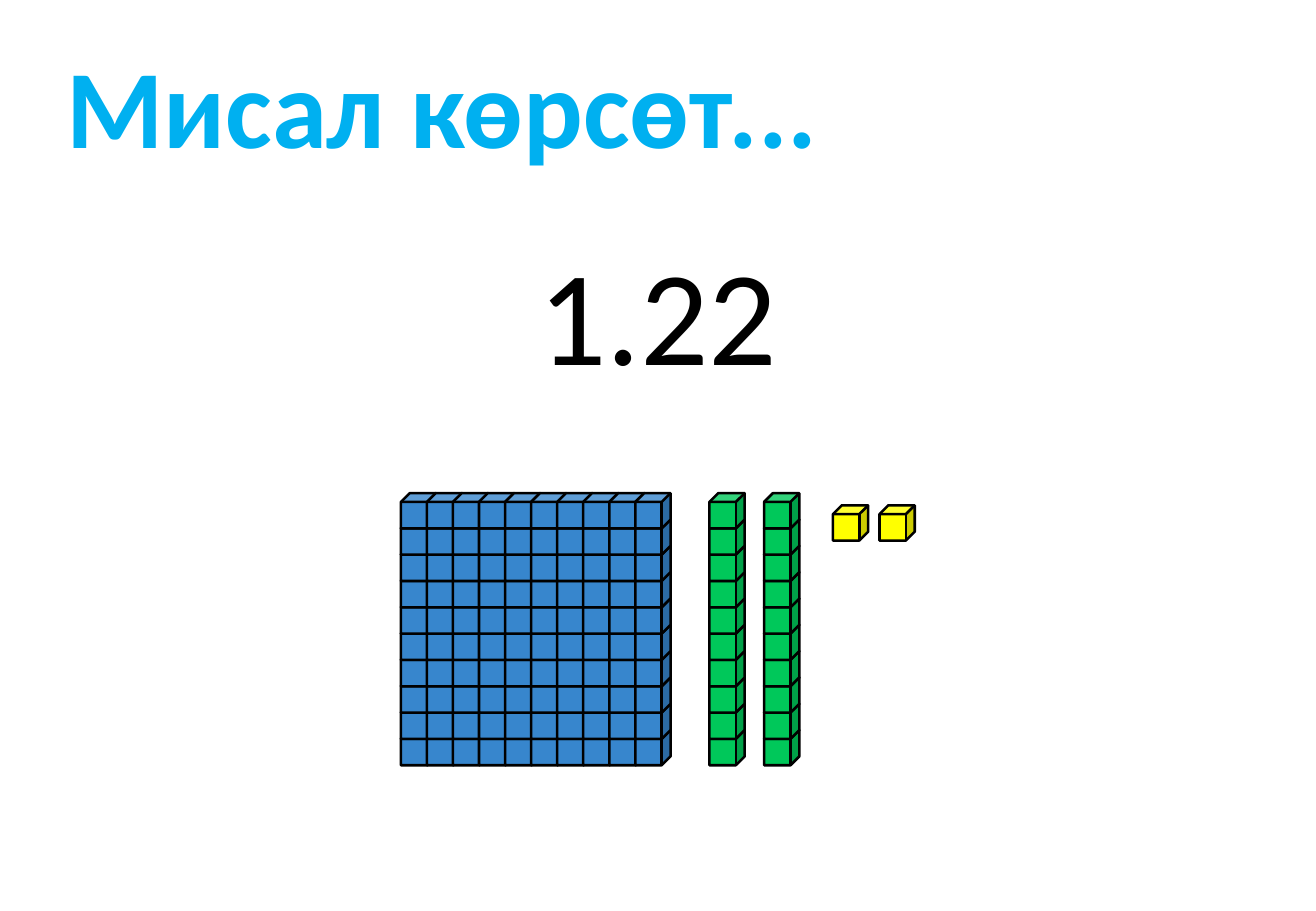
from pptx import Presentation
from pptx.dml.color import RGBColor
from pptx.enum.shapes import MSO_SHAPE
from pptx.enum.text import MSO_ANCHOR, MSO_AUTO_SIZE, PP_ALIGN
from pptx.util import Pt

CUBE = MSO_SHAPE.CUBE
TOP = MSO_ANCHOR.TOP
GROW = MSO_AUTO_SIZE.SHAPE_TO_FIT_TEXT
LEFT, CENTER = PP_ALIGN.LEFT, PP_ALIGN.CENTER

COLORS = {
    "title": "00B0F0",
    "black": "000000",
    "hundred": "3786CD",
    "ten": "00C85A",
    "one": "FFFF00",
}
FONT = "Calibri"
CUBE_SIZE = 20.9
PITCH_X, PITCH_Y = 15.44, 15.6
BLOCK_TOP = 292.3


def set_text(shape, text, size, color, align, bold=False):
    tf = shape.text_frame
    tf.text = text
    tf.vertical_anchor = TOP
    tf.auto_size = GROW
    p = tf.paragraphs[0]
    p.alignment = align
    p.font.name = FONT
    p.font.size = Pt(size)
    p.font.bold = bold
    p.font.color.rgb = RGBColor.from_string(COLORS[color])


def add_block(x, y, columns, rows, color):
    """Stack cubes from the bottom left, so that nearer ones overlap."""
    group = s.shapes.add_group_shape()
    for column in range(columns):
        for row in reversed(range(rows)):
            cube = group.shapes.add_shape(
                CUBE, Pt(x + column * PITCH_X), Pt(y + row * PITCH_Y),
                Pt(CUBE_SIZE), Pt(CUBE_SIZE))
            cube.shadow.inherit = False
            cube.fill.solid()
            cube.fill.fore_color.rgb = RGBColor.from_string(COLORS[color])
            cube.line.color.rgb = RGBColor.from_string(COLORS["black"])
            cube.line.width = Pt(1.5)


prs = Presentation()
prs.slide_width, prs.slide_height = Pt(780), Pt(540)
s = prs.slides.add_slide(prs.slide_layouts[5])

title = s.shapes.title
title.left, title.top, title.width, title.height = Pt(17.3), Pt(18.7), Pt(543), Pt(87)
set_text(title, "Мисал көрсөт...", 66, "title", LEFT, bold=True)
title.text_frame.margin_left = Pt(22)

number = s.shapes.add_textbox(Pt(311), Pt(133.2), Pt(157.7), Pt(104.4))
set_text(number, "1.22", 80, "black", CENTER)
number.text_frame.word_wrap = False

add_block(237.6, BLOCK_TOP, 10, 10, "hundred")
for x in (420.5, 452.9):
    add_block(x, BLOCK_TOP, 1, 10, "ten")
for x in (493.7, 521.3):
    add_block(x, 299.5, 1, 1, "one")

prs.save("out.pptx")
